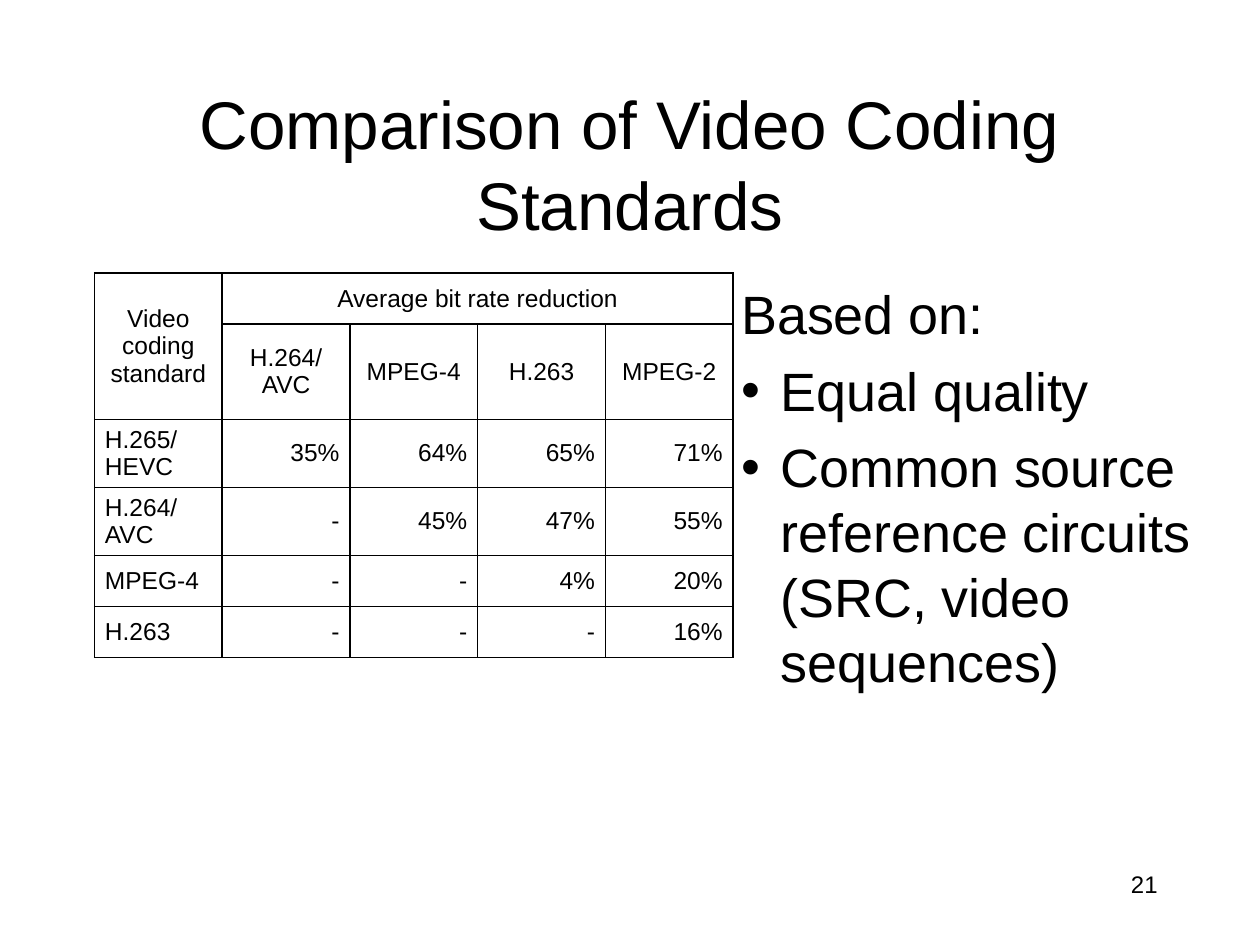
from lxml import etree
from pptx import Presentation
from pptx.dml.color import RGBColor
from pptx.enum import text as t
from pptx.oxml import ns
from pptx.util import Pt

BLACK = RGBColor(0, 0, 0)
FONT = "Arial"
LEFT, CENTER, RIGHT = t.PP_ALIGN.LEFT, t.PP_ALIGN.CENTER, t.PP_ALIGN.RIGHT
TITLE_SIZE, BODY_SIZE, TABLE_SIZE, NUMBER_SIZE = 38.5, 30.8, 14, 13.7
LINE_FACTOR = 1.2
INSET = 4.5
HANGING = 22.4

COLUMN_WIDTH = 73
ROW_HEIGHTS = [29.2, 54.3, 38.9, 38.9, 29.2, 29.2]
ROWS = [
    ["Video coding standard", "Average bit rate reduction", "", "", ""],
    ["", "H.264/ AVC", "MPEG-4", "H.263", "MPEG-2"],
    ["H.265/ HEVC", "35%", "64%", "65%", "71%"],
    ["H.264/ AVC", "-", "45%", "47%", "55%"],
    ["MPEG-4", "-", "-", "4%", "20%"],
    ["H.263", "-", "-", "-", "16%"],
]
HEADER_ROWS = 2
MERGES = [((0, 0), (1, 0)), ((0, 1), (0, 4))]


class SlideBuilder:
    def __init__(self, presentation):
        self.slide = presentation.slides.add_slide(presentation.slide_layouts[1])

    def style(self, paragraph, size, alignment):
        paragraph.alignment = alignment
        for run in paragraph.runs:
            run.font.name = FONT
            run.font.size = Pt(size)
            run.font.color.rgb = BLACK

    def place(self, shape, left, top, width, height, anchor, wrap=True):
        shape.left, shape.top = Pt(left), Pt(top)
        shape.width, shape.height = Pt(width), Pt(height)
        frame = shape.text_frame
        frame.word_wrap = wrap
        frame.auto_size = t.MSO_AUTO_SIZE.NONE
        frame.vertical_anchor = anchor
        frame.margin_left = frame.margin_right = Pt(INSET)
        frame.margin_top = frame.margin_bottom = Pt(INSET)
        return frame

    def title(self, words, *box):
        frame = self.place(self.slide.shapes.title, *box, t.MSO_ANCHOR.MIDDLE)
        frame.text = words
        paragraph = frame.paragraphs[0]
        paragraph.line_spacing = Pt(TITLE_SIZE * LINE_FACTOR)
        self.style(paragraph, TITLE_SIZE, CENTER)

    def body(self, heading, bullets, *box):
        frame = self.place(self.slide.placeholders[1], *box, t.MSO_ANCHOR.TOP)
        frame.text = "\n".join([heading, *bullets])
        for index, paragraph in enumerate(frame.paragraphs):
            paragraph.line_spacing = Pt(BODY_SIZE * LINE_FACTOR)
            paragraph.space_before = Pt(6.8 if index else 0)
            properties = paragraph._p.get_or_add_pPr()
            indent = Pt(HANGING) if index else 0
            properties.set("marL", str(indent))
            properties.set("indent", str(-indent))
            if index:
                etree.SubElement(properties, ns.qn("a:buChar"), char="•")
            else:
                etree.SubElement(properties, ns.qn("a:buNone"))
            self.style(paragraph, BODY_SIZE, LEFT)

    def border(self, cell):
        properties = cell._tc.get_or_add_tcPr()
        for side in ("a:lnL", "a:lnR", "a:lnT", "a:lnB"):
            line = etree.SubElement(properties, ns.qn(side), w=str(Pt(1)))
            fill = etree.SubElement(line, ns.qn("a:solidFill"))
            etree.SubElement(fill, ns.qn("a:srgbClr"), val=str(BLACK))

    def table(self, rows, left, top):
        columns = len(rows[0])
        table = self.slide.shapes.add_table(
            len(rows), columns, Pt(left), Pt(top),
            Pt(COLUMN_WIDTH * columns), Pt(sum(ROW_HEIGHTS))).table
        table.first_row = table.horz_banding = False
        for column in table.columns:
            column.width = Pt(COLUMN_WIDTH)
        for row, height in zip(table.rows, ROW_HEIGHTS):
            row.height = Pt(height)
        for start, end in MERGES:
            table.cell(*start).merge(table.cell(*end))
        for r, values in enumerate(rows):
            for c, value in enumerate(values):
                cell = table.cell(r, c)
                self.border(cell)
                cell.fill.background()
                cell.vertical_anchor = t.MSO_ANCHOR.MIDDLE
                cell.margin_left = cell.margin_right = Pt(6)
                cell.margin_top = cell.margin_bottom = Pt(3.6)
                if value:
                    cell.text = value
                    alignment = CENTER if r < HEADER_ROWS else RIGHT if c else LEFT
                    self.style(cell.text_frame.paragraphs[0], TABLE_SIZE, alignment)

    def page_number(self, words, *box):
        shape = self.slide.shapes.add_textbox(0, 0, 0, 0)
        frame = self.place(shape, *box, t.MSO_ANCHOR.TOP, wrap=False)
        frame.text = words
        self.style(frame.paragraphs[0], NUMBER_SIZE, RIGHT)


def main():
    presentation = Presentation()
    presentation.slide_width, presentation.slide_height = Pt(720), Pt(540)
    builder = SlideBuilder(presentation)
    builder.title("Comparison of Video Coding Standards", 54, 48, 612, 90)
    builder.table(ROWS, 54, 156)
    builder.body(
        "Based on:",
        ["Equal quality", "Common source reference circuits (SRC, video sequences)"],
        419, 156, 301, 324)
    builder.page_number("21", 643, 492.5, 23, 23)
    presentation.save("out.pptx")


if __name__ == "__main__":
    main()
